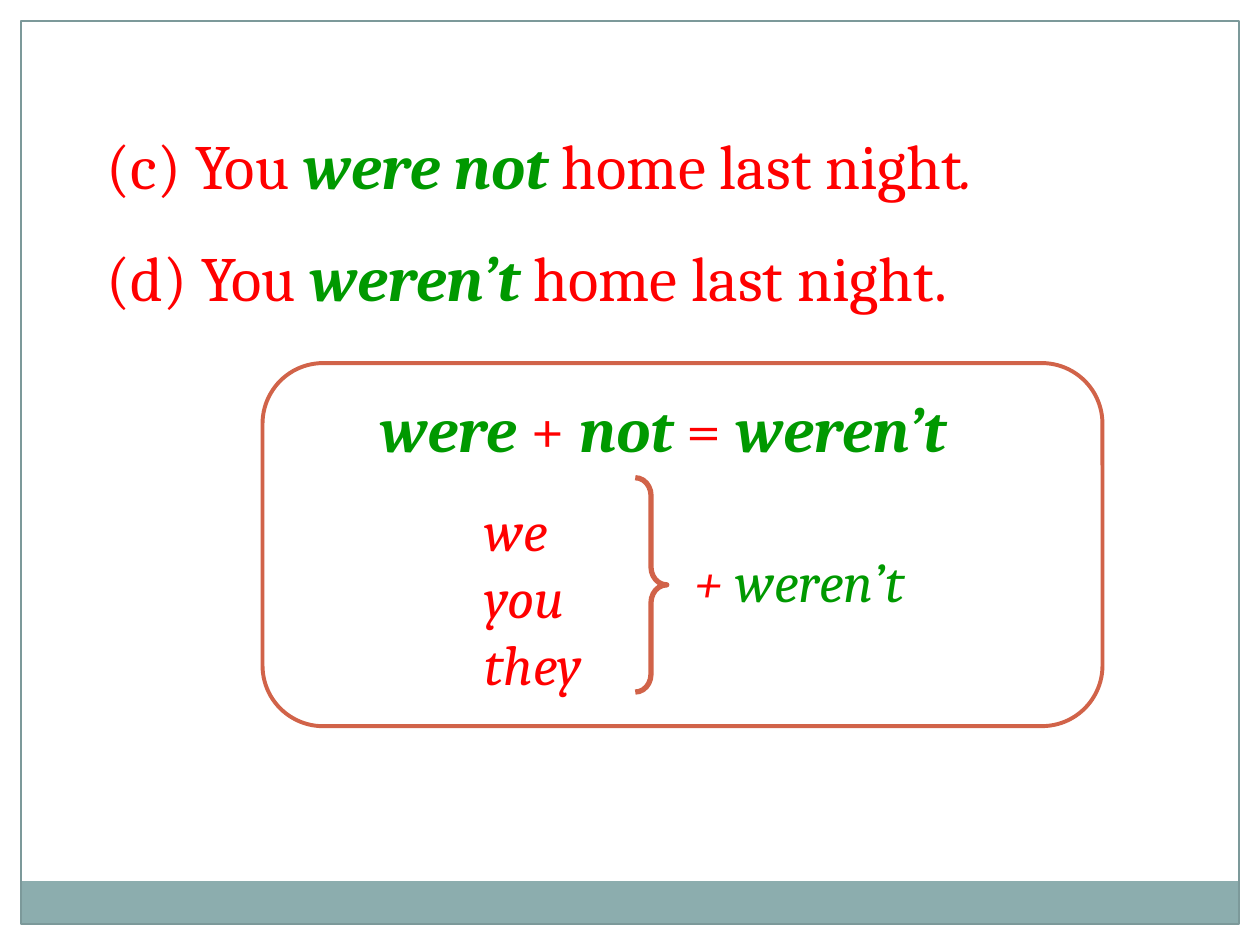
from collections import namedtuple
from dataclasses import dataclass

from pptx import Presentation
from pptx.dml.color import RGBColor
from pptx.enum.shapes import MSO_SHAPE
from pptx.util import Pt

Box = namedtuple("Box", "left top width height")


@dataclass(frozen=True)
class Theme:
    font: str = "Cambria"
    large: float = 36
    medium: float = 32
    red: str = "FF0000"
    green: str = "009900"
    accent: str = "D16349"
    band: str = "8CADAE"
    border: str = "7C999A"


THEME = Theme()
PLAIN = {"color": THEME.red, "bold": False, "italic": False}
SLANTED = {**PLAIN, "italic": True}
SLANTED_GREEN = {**SLANTED, "color": THEME.green}
STRONG = {**SLANTED_GREEN, "bold": True}


def inside(box, left, top, width, height):
    """Turn a place relative to a box into a place on the page."""
    return Box(box.left + left, box.top + top, width, height)


def add_outline(page, kind, box, fill=None, line=None, weight=0, adjustments=()):
    shape = page.shapes.add_shape(kind, *map(Pt, box))
    shape.shadow.inherit = False
    if fill:
        shape.fill.solid()
        shape.fill.fore_color.rgb = RGBColor.from_string(fill)
    else:
        shape.fill.background()
    if line:
        shape.line.color.rgb = RGBColor.from_string(line)
        shape.line.width = Pt(weight)
    else:
        shape.line.fill.background()
    for index, value in enumerate(adjustments):
        shape.adjustments[index] = value


def add_text(page, box, size, lines, gap=0):
    """Write lines, each a list of (wording, format) spans."""
    frame = page.shapes.add_textbox(*map(Pt, box)).text_frame
    frame.word_wrap = True
    for index, spans in enumerate(lines):
        para = frame.add_paragraph() if index else frame.paragraphs[0]
        if index and gap:
            para.space_before = Pt(gap)
        for wording, look in spans:
            span = para.add_run()
            span.text = wording
            values = {"name": THEME.font, "size": Pt(size),
                      "bold": look["bold"], "italic": look["italic"]}
            for name, value in values.items():
                setattr(span.font, name, value)
            span.font.color.rgb = RGBColor.from_string(look["color"])


def add_page_frame(page, box):
    band_height = 24.5
    band = inside(box, 0, box.height - band_height, box.width, band_height)
    add_outline(page, MSO_SHAPE.RECTANGLE, band, fill=THEME.band)
    add_outline(page, MSO_SHAPE.RECTANGLE, box, line=THEME.border, weight=0.75)


def add_sentences(page, box):
    add_text(page, box, THEME.large, [
        [("(c) You ", PLAIN), ("were not ", STRONG),
         ("home last night", PLAIN), (".", SLANTED)],
        [("(d) You ", PLAIN), ("weren’t ", STRONG), ("home last night.", PLAIN)],
    ], gap=20.5)


def add_contraction_panel(page, box):
    add_outline(page, MSO_SHAPE.ROUNDED_RECTANGLE, box, line=THEME.accent,
                weight=2.25, adjustments=[0.167])
    add_text(page, inside(box, 60, 11.5, 364, 51), THEME.large, [
        [("were ", STRONG), ("+ ", PLAIN), ("not ", STRONG),
         ("= ", PLAIN), ("weren’t", STRONG)],
    ])
    add_outline(page, MSO_SHAPE.RIGHT_BRACE, inside(box, 213, 65.5, 18, 122.5),
                line=THEME.accent, weight=3, adjustments=[0.567, 0.5])
    add_text(page, inside(box, 240, 101.5, 145.5, 45.5), THEME.medium,
             [[("+ ", SLANTED), ("weren’t", SLANTED_GREEN)]])
    add_text(page, inside(box, 120, 72, 75.5, 124), THEME.medium,
             [[(pronoun, SLANTED)] for pronoun in ("we", "you", "they")])


def main():
    deck = Presentation()
    deck.slide_width, deck.slide_height = Pt(720), Pt(540)
    page = deck.slides.add_slide(deck.slide_layouts.get_by_name("Blank"))
    add_page_frame(page, Box(12, 12, 696, 516))
    add_sentences(page, Box(54, 69, 594, 115))
    add_contraction_panel(page, Box(150, 207.5, 480, 207.5))
    deck.save("out.pptx")


if __name__ == "__main__":
    main()
